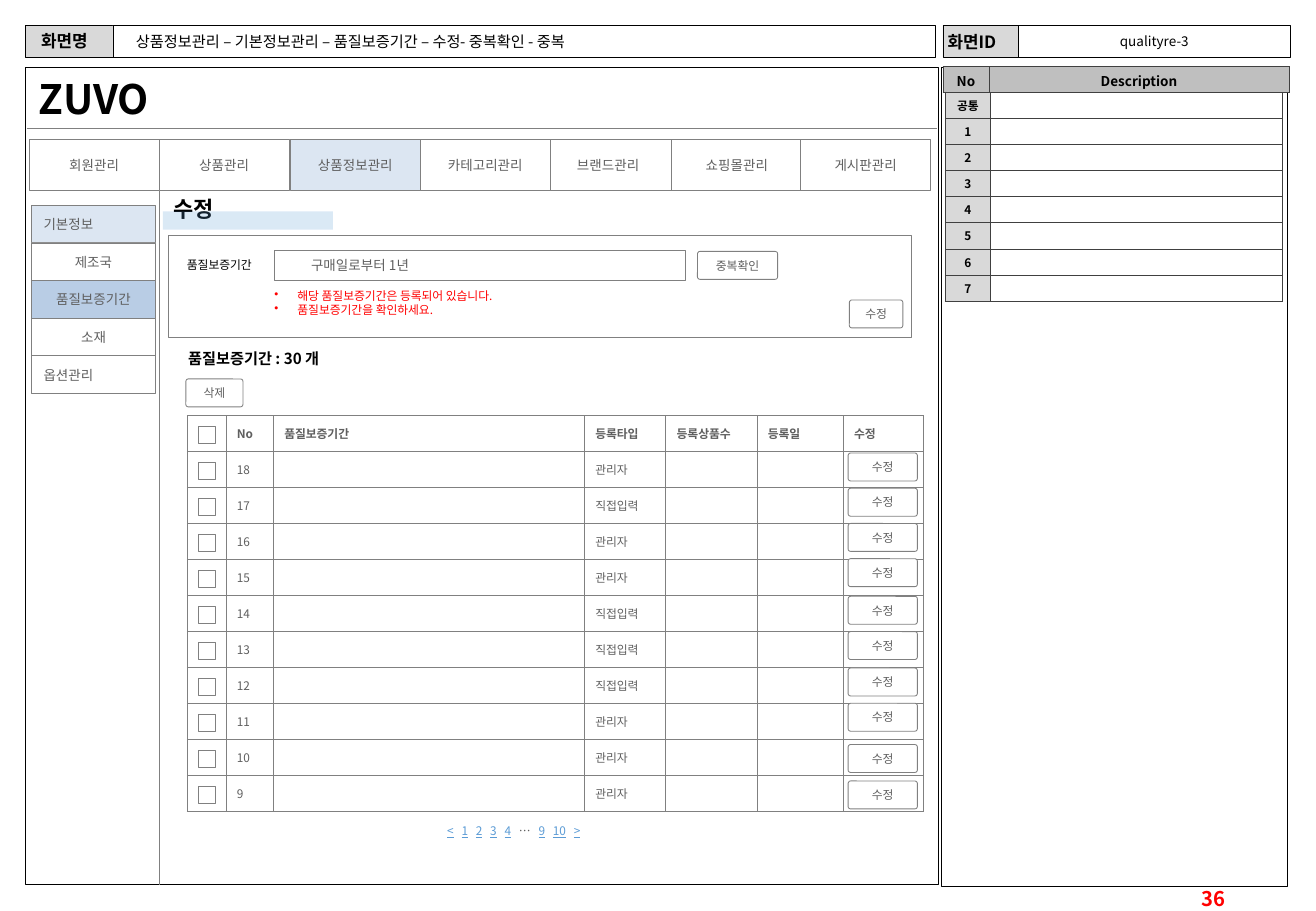
import pptx
import pptx.dml.color
import pptx.enum.shapes
import pptx.enum.text
import pptx.oxml.ns
import pptx.util
from lxml import etree
from pptx.util import Inches

FONT = "Noto Sans CJK KR"
BLACK, WHITE, RED = "000000", "FFFFFF", "FF0000"
GRAY, TEXT_GRAY, HEAD_GRAY = "808080", "5F5F5F", "D9D9D9"
LIGHT_BLUE, MID_BLUE, LINK_BLUE = "DCE6F2", "B9CDE5", "5B9BD5"

SHAPE = pptx.enum.shapes.MSO_SHAPE
ALIGN = {"l": pptx.enum.text.PP_ALIGN.LEFT,
         "c": pptx.enum.text.PP_ALIGN.CENTER,
         "r": pptx.enum.text.PP_ALIGN.RIGHT}
ANCHOR = {"t": pptx.enum.text.MSO_ANCHOR.TOP,
          "m": pptx.enum.text.MSO_ANCHOR.MIDDLE}


def rgb(color):
    return pptx.dml.color.RGBColor.from_string(color)


def child(parent, tag, **attrs):
    return etree.SubElement(parent, pptx.oxml.ns.qn(tag), attrs)


def add_run(p, text, size=8, color=TEXT_GRAY, bold=False, underline=False, spacing=None):
    r = p.add_run()
    r.text = text
    r.font.size = pptx.util.Pt(size)
    r.font.bold = bold
    r.font.underline = underline
    r.font.color.rgb = rgb(color)
    r.font.name = FONT
    rpr = r.font._element
    child(rpr, "a:ea", typeface=FONT)
    if spacing:
        rpr.set("spc", str(int(spacing * 100)))


def write(tf, text, align="l", anchor="t", left=0.1, bullet=None, **font):
    tf.word_wrap = True
    tf.vertical_anchor = ANCHOR[anchor]
    tf.margin_left = Inches(left)
    for i, line in enumerate(text.split("\n")):
        p = tf.add_paragraph() if i else tf.paragraphs[0]
        p.alignment = ALIGN[align]
        if bullet:
            ppr = p._p.get_or_add_pPr()
            ppr.set("marL", str(Inches(0.19)))
            ppr.set("indent", str(-Inches(0.19)))
            child(ppr, "a:buChar", char=bullet)
        add_run(p, line, **font)


def add_text(s, box, text, **fmt):
    sp = s.shapes.add_textbox(*map(Inches, box))
    write(sp.text_frame, text, **fmt)


def add_box(s, box, text=None, fill=WHITE, line=GRAY, weight=0.5, shape=SHAPE.RECTANGLE, **fmt):
    sp = s.shapes.add_shape(shape, *map(Inches, box))
    sp.shadow.inherit = False
    sp.fill.solid()
    sp.fill.fore_color.rgb = rgb(fill)
    if line:
        sp.line.color.rgb = rgb(line)
        sp.line.width = pptx.util.Pt(weight)
    else:
        sp.line.fill.background()
    if text:
        write(sp.text_frame, text, **{"align": "c", "anchor": "m", **fmt})
    return sp


def add_button(s, left, top, width, text):
    sp = add_box(s, (left, top, width, 0.23), text, shape=SHAPE.ROUNDED_RECTANGLE, size=7)
    sp.adjustments[0] = 0.09


def add_line(s, x1, y1, x2, y2):
    c = s.shapes.add_connector(pptx.enum.shapes.MSO_CONNECTOR.STRAIGHT,
                               *map(Inches, (x1, y1, x2, y2)))
    c.line.color.rgb = rgb(GRAY)
    c.line.width = pptx.util.Pt(0.5)
    child(c._element.spPr, "a:effectLst")


def format_cell(cell, text, fill, line, margin, fmt):
    cell.margin_left = cell.margin_right = Inches(margin)
    cell.margin_top = cell.margin_bottom = Inches(0.03)
    cell.vertical_anchor = ANCHOR["m"]
    p = cell.text_frame.paragraphs[0]
    if text:
        p.alignment = ALIGN[fmt.get("align", "l")]
        add_run(p, text, **{k: v for k, v in fmt.items() if k != "align"})
    else:
        child(p._p, "a:endParaRPr", sz="700")
    tcpr = cell._tc.get_or_add_tcPr()
    for side in ("a:lnL", "a:lnR", "a:lnT", "a:lnB"):
        ln = child(tcpr, side, w=str(pptx.util.Pt(0.5)))
        child(child(ln, "a:solidFill"), "a:srgbClr", val=line)
    cell.fill.solid()
    cell.fill.fore_color.rgb = rgb(fill)


def add_grid(s, left, top, widths, row_height, rows, line, margin, style):
    """style(row, column) gives the fill and the text format of a cell."""
    frame = s.shapes.add_table(len(rows), len(widths), Inches(left), Inches(top),
                               Inches(sum(widths)), Inches(row_height * len(rows)))
    table = frame.table
    table.first_row = table.horz_banding = False
    for column, width in zip(table.columns, widths):
        column.width = Inches(width)
    for i, row in enumerate(rows):
        table.rows[i].height = Inches(row_height)
        for j, text in enumerate(row):
            fill, fmt = style(i, j)
            format_cell(table.cell(i, j), text, fill, line, margin, fmt)


def add_frame(s):
    # Header bar and the two panels
    for box, fill in (((0.21, 0.21, 0.72, 0.26), HEAD_GRAY), ((0.21, 0.55, 7.51, 6.73), WHITE),
                      ((0.93, 0.21, 6.77, 0.26), WHITE), ((7.76, 0.21, 0.62, 0.26), HEAD_GRAY),
                      ((8.38, 0.21, 2.24, 0.26), WHITE), ((7.75, 0.55, 2.84, 6.75), WHITE)):
        add_box(s, box, fill=fill, line=BLACK, weight=0.25)
    add_text(s, (0.24, 0.2, 0.69, 0.27), "화면명", size=10, color=BLACK, bold=True)
    add_text(s, (7.7, 0.21, 1.02, 0.27), "화면ID", size=10, color=BLACK, bold=True)
    add_text(s, (1.02, 0.23, 6.6, 0.23), "상품정보관리 – 기본정보관리 – 품질보증기간 – 수정- 중복확인 - 중복",
             anchor="m", size=9, color=BLACK)
    add_text(s, (8.38, 0.21, 2.24, 0.26), "qualityre-3", align="c", anchor="m", color=BLACK)
    add_text(s, (9.61, 7.29, 0.57, 0.21), "36", align="r", anchor="m", size=12, color=RED, bold=True)

    # Description tables
    label = {"align": "c", "color": BLACK, "bold": True}
    add_grid(s, 7.76, 0.55, (0.38, 2.47), 0.21, [("No", "Description")], "404040", 0.04,
             lambda i, j: ("BFBFBF", {**label, "size": 8}))
    notes = [(name, "") for name in ("공통", *"1234567")]
    add_grid(s, 7.78, 0.76, (0.37, 2.4), 0.215, notes, "404040", 0.04,
             lambda i, j: (WHITE if j else HEAD_GRAY, {**label, "size": 7}))


def add_navigation(s):
    add_text(s, (0.22, 0.56, 1.45, 0.5), "ZUVO", size=24, color=BLACK, bold=True)
    add_line(s, 0.22, 1.06, 7.71, 1.06)

    # Top menu, the selected entry last so that it lies on top
    for left, text in ((0.24, "회원관리"), (1.31, "상품관리"), (4.47, "브랜드관리"), (5.53, "쇼핑몰관리"),
                       (3.46, "카테고리관리"), (6.59, "게시판관리"), (2.39, "상품정보관리")):
        add_box(s, (left, 1.15, 1.07, 0.42), text,
                fill=LIGHT_BLUE if text == "상품정보관리" else WHITE)

    # Side menu
    for i, (text, fill, align) in enumerate((("기본정보", LIGHT_BLUE, "l"), ("제조국", WHITE, "c"),
                                             ("품질보증기간", MID_BLUE, "c"), ("소재", WHITE, "c"),
                                             ("옵션관리", WHITE, "l"))):
        add_box(s, (0.26, 1.69 + 0.31 * i, 1.02, 0.31), text, fill=fill, align=align)
    add_line(s, 1.31, 1.57, 1.31, 7.29)


def add_edit_form(s):
    add_text(s, (1.33, 1.56, 1.37, 0.32), "수정", size=13, color=BLACK, bold=True)
    band = add_box(s, (1.34, 1.74, 1.4, 0.15), fill=LINK_BLUE, line=None)
    color = band._element.spPr.find(".//" + pptx.oxml.ns.qn("a:srgbClr"))
    child(color, "a:alpha", val="22000")

    add_box(s, (1.39, 1.94, 6.11, 0.84))
    add_box(s, (2.26, 2.06, 3.38, 0.25), "구매일로부터 1년", align="l", left=0.3)
    add_text(s, (1.44, 2.07, 0.82, 0.22), "품질보증기간", size=7, color=BLACK)
    add_button(s, 6.99, 2.47, 0.44, "수정")
    add_button(s, 5.74, 2.07, 0.66, "중복확인")
    add_text(s, (2.16, 2.33, 2.66, 0.34), "해당 품질보증기간은 등록되어 있습니다.\n품질보증기간을 확인하세요.",
             bullet="•", size=7, color=RED)


def add_list(s):
    add_text(s, (1.45, 2.83, 2.01, 0.25), "품질보증기간 : 30 개", size=9, color=BLACK, bold=True)
    add_button(s, 1.53, 3.12, 0.47, "삭제")

    # Registered entries
    admin, direct = "관리자", "직접입력"
    types = (admin, direct, admin, admin, direct, direct, direct, admin, admin, admin)
    rows = [("", "No", "품질보증기간", "등록타입", "등록상품수", "등록일", "수정")]
    rows += [("", str(18 - i), "", kind, "", "", "") for i, kind in enumerate(types)]
    pitch = 3.26 / len(rows)
    add_grid(s, 1.54, 3.42, (0.32, 0.39, 2.56, 0.67, 0.75, 0.71, 0.66), pitch, rows, GRAY, 0.09,
             lambda i, j: (WHITE, {"size": 7, "bold": i == 0}))
    for top in (3.73, 4.02, 4.31, 4.6, 4.91, 5.2, 5.5, 5.79, 6.13, 6.43):
        add_button(s, 6.98, top, 0.57, "수정")
    for i in range(len(rows)):
        add_box(s, (1.63, 3.51 + pitch * i, 0.14, 0.14))

    # Page links
    sp = s.shapes.add_textbox(*map(Inches, (3.6, 6.74, 1.45, 0.2)))
    tf = sp.text_frame
    tf.margin_left = tf.margin_right = Inches(0.08)
    tf.margin_top = tf.margin_bottom = Inches(0.04)
    p = tf.paragraphs[0]
    for i, page in enumerate(("<", "1", "2", "3", "4", "…", "9", "10", ">")):
        if i:
            add_run(p, " ", size=7, spacing=3.1)
        link = page != "…"
        add_run(p, page, size=7, color=LINK_BLUE if link else TEXT_GRAY, underline=link)


def main():
    prs = pptx.Presentation()
    prs.slide_width, prs.slide_height = Inches(10.83), Inches(7.5)
    s = prs.slides.add_slide(prs.slide_layouts[6])
    add_frame(s)
    add_navigation(s)
    add_edit_form(s)
    add_list(s)
    prs.save("out.pptx")


if __name__ == "__main__":
    main()
